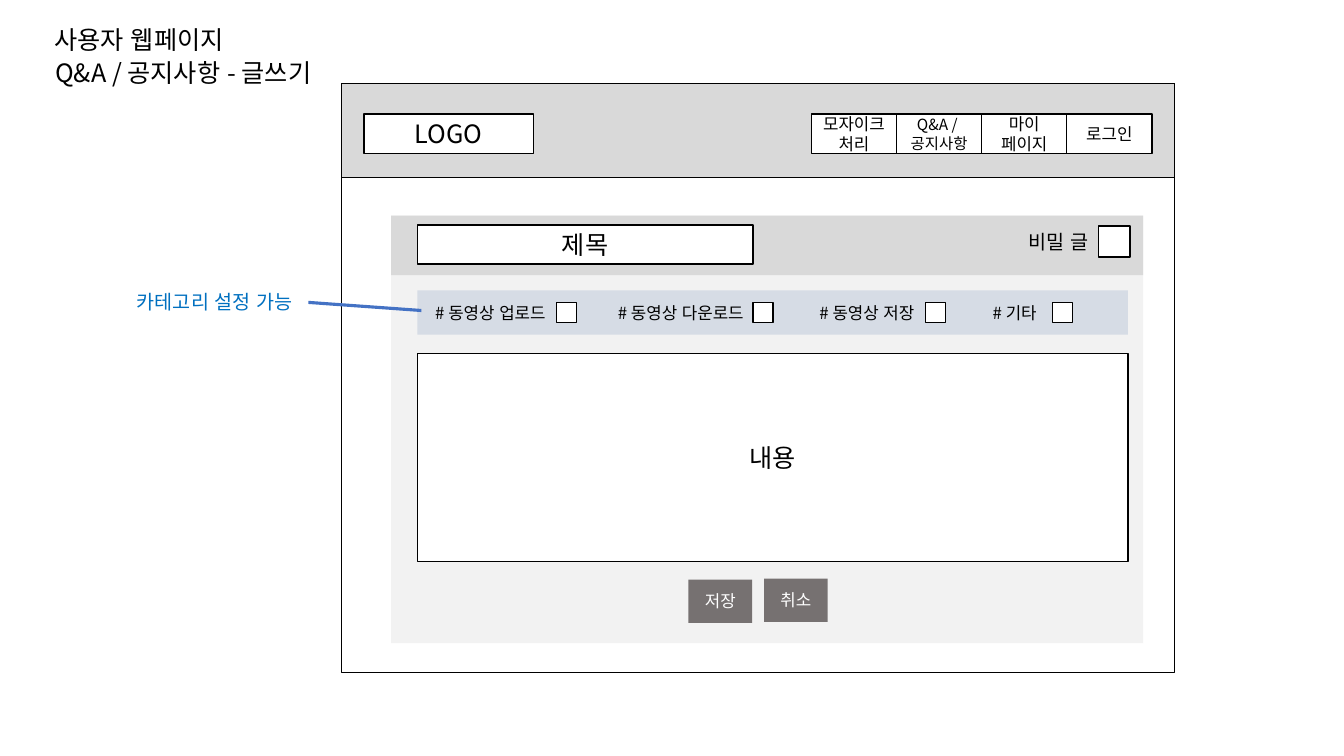
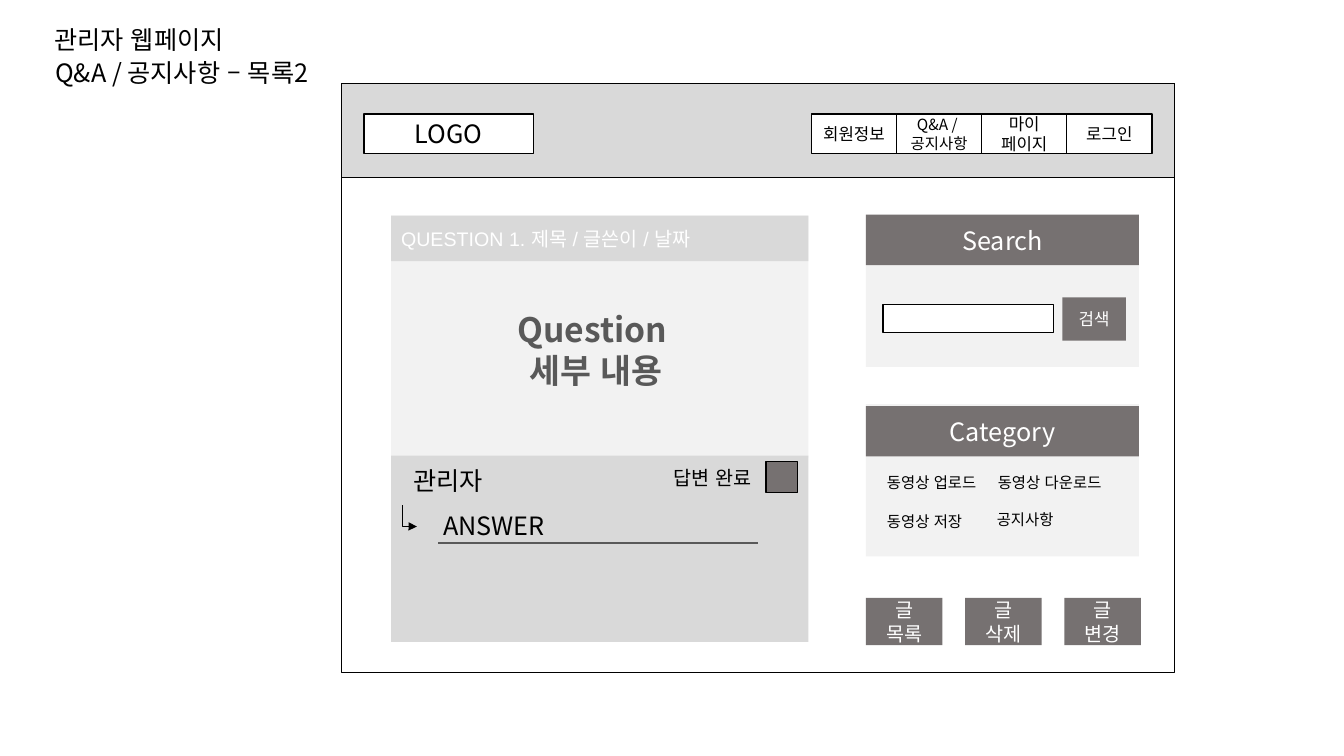
import pptx
import pptx.dml.color
import pptx.enum.lang
import pptx.enum.shapes
import pptx.enum.text
import pptx.oxml
import pptx.oxml.ns
import pptx.util

Pt = pptx.util.Pt
RGB = pptx.dml.color.RGBColor
ALIGN = pptx.enum.text.PP_ALIGN
ANCHOR = pptx.enum.text.MSO_ANCHOR
FIT = pptx.enum.text.MSO_AUTO_SIZE
CONN = pptx.enum.shapes.MSO_CONNECTOR

BLACK = RGB(0x00, 0x00, 0x00)
WHITE = RGB(0xFF, 0xFF, 0xFF)
BAND = RGB(0xD9, 0xD9, 0xD9)
PANEL = RGB(0xF2, 0xF2, 0xF2)
DARK = RGB(0x76, 0x71, 0x71)
SLATE = RGB(0x59, 0x59, 0x59)
PALE_BLUE = RGB(0xD6, 0xDC, 0xE5)
NOTE_BLUE = RGB(0x00, 0x70, 0xC0)
LINE_BLUE = RGB(0x44, 0x72, 0xC4)

FONT = "Noto Sans CJK KR"
FRAME = (244.1, 59.8, 594.7, 420.5)
CHECK = 22.3
FIELD_H = 28.1
BUTTON = (45.4, 31)


def write(tf, text, size, color, align=None, bold=False, font=FONT):
    """Fill a text frame, one paragraph for each line of text."""
    tf.word_wrap = True
    fmt = {"size": Pt(size), "bold": bold, "name": font,
           "language_id": pptx.enum.lang.MSO_LANGUAGE_ID.KOREAN}
    for i, line in enumerate(text.split("\n")):
        p = tf.paragraphs[0] if i == 0 else tf.add_paragraph()
        p.alignment = align
        r = p.add_run()
        r.text = line
        for name, value in fmt.items():
            setattr(r.font, name, value)
        r.font.color.rgb = color
        ea = pptx.oxml.parse_xml(
            f'<a:ea {pptx.oxml.ns.nsdecls("a")} typeface="{FONT}"/>')
        r.font._element.find(pptx.oxml.ns.qn("a:latin")).addnext(ea)


def rect(s, x, y, w, h, fill=None, line=None, text=None, size=18,
         color=BLACK, align=ALIGN.CENTER, font=FONT):
    """Draw a rectangle with optional fill, outline and text."""
    sp = s.shapes.add_shape(pptx.enum.shapes.MSO_SHAPE.RECTANGLE,
                            Pt(x), Pt(y), Pt(w), Pt(h))
    sp.shadow.inherit = False
    if fill is None:
        sp.fill.background()
    else:
        sp.fill.solid()
        sp.fill.fore_color.rgb = fill
    if line is None:
        sp.line.fill.background()
    else:
        sp.line.color.rgb = line
        sp.line.width = Pt(1)
    if text:
        sp.text_frame.vertical_anchor = ANCHOR.MIDDLE
        write(sp.text_frame, text, size, color, align, font=font)


def field(s, x, y, w, h, text=None, size=18):
    """Draw a white outlined box."""
    rect(s, x, y, w, h, WHITE, BLACK, text, size)


def button(s, x, y, text, w=BUTTON[0], h=BUTTON[1], size=12):
    """Draw a dark button."""
    rect(s, x, y, w, h, DARK, None, text, size, WHITE)


def label(s, x, y, w, h, text, size=18, color=BLACK, align=None, bold=False,
          middle=False):
    """Place a text box, either growing downwards or centred vertically."""
    tf = s.shapes.add_textbox(Pt(x), Pt(y), Pt(w), Pt(h)).text_frame
    write(tf, text, size, color, align, bold)
    if middle:
        tf.vertical_anchor = ANCHOR.MIDDLE
    else:
        tf.auto_size = FIT.SHAPE_TO_FIT_TEXT


def connect(s, x1, y1, x2, y2, color, width, kind=CONN.STRAIGHT):
    """Draw a connector without shadow and return it."""
    c = s.shapes.add_connector(kind, Pt(x1), Pt(y1), Pt(x2), Pt(y2))
    c.line.color.rgb = color
    c.line.width = Pt(width)
    c._element.spPr.append(pptx.oxml.parse_xml(
        f'<a:effectLst {pptx.oxml.ns.nsdecls("a")}/>'))
    return c


def reply_arrow(s, x, y, w, h):
    """Draw an arrow that runs down, then right, within its box."""
    cx, cy = x + w / 2, y + h / 2
    c = connect(s, cx + h / 2, cy - w / 2, cx - h / 2, cy + w / 2,
                BLACK, 0.5, CONN.ELBOW)
    sp_pr = c._element.spPr
    sp_pr.xfrm.set("rot", "16200000")
    ns = pptx.oxml.ns.nsdecls("a")
    guides = sp_pr.find(pptx.oxml.ns.qn("a:prstGeom")).find(
        pptx.oxml.ns.qn("a:avLst"))
    guides.append(pptx.oxml.parse_xml(
        f'<a:gd {ns} name="adj1" fmla="val 99400"/>'))
    c.line._get_or_add_ln().append(pptx.oxml.parse_xml(
        f'<a:tailEnd {ns} type="triangle"/>'))


def page(prs, heading, subheading, sub_w, first_tab):
    """Add a slide with its headings, browser frame, logo and menu."""
    s = prs.slides.add_slide(prs.slide_layouts[6])
    label(s, 31.7, 13.7, 144.7, 28.8, heading)
    label(s, 32.4, 37.4, sub_w, 28.8, subheading)
    x, y, w, h = FRAME
    rect(s, x, y, w, 67, BAND, BLACK)
    rect(s, x, y, w, h, None, BLACK)
    field(s, x + 15.8, y + 21.6, 121, FIELD_H, "LOGO")
    tabs = [(first_tab, 12), ("Q&A / \n공지사항", 11),
            ("마이\n페이지", 12), ("로그인", 12)]
    tab_w = 60.8
    for i, (text, size) in enumerate(tabs):
        field(s, x + 335.5 + i * tab_w, y + 21.6, tab_w, FIELD_H, text, size)
    return s


def category_bar(s, x, y, w, h):
    """Draw the row of category tags, each with a check box."""
    rect(s, x, y, w, h, PALE_BLUE)
    tags = [("# 동영상 업로드 ", 5.7, 95, 99.3),
            ("# 동영상 다운로드 ", 136.1, 114.5, 239.7),
            ("# 동영상 저장", 280.1, 114.5, 362.9),
            ("# 기타", 403.9, 85, 453.6)]
    for text, dx, tag_w, check_dx in tags:
        label(s, x + dx, y + 5, tag_w, 21.6, text, 12)
        field(s, x + check_dx, y + 8.6, 14.4, 14.4)


def write_form(s, x, y, w, h):
    """Draw the form for a new post."""
    rect(s, x, y, w, h, PANEL)
    rect(s, x, y, w, 42.5, BAND)
    left, inner_w = x + 18.7, 507.6
    field(s, left, y + 6.5, 239.8, FIELD_H, "제목")
    field(s, x + 505.4, y + 7.2, CHECK, CHECK)
    label(s, x + 446.4, y + 4.3, 60.5, FIELD_H, "비밀 글", 14,
          align=ALIGN.CENTER, middle=True)
    field(s, left, y + 98.6, inner_w, 148.3, "내용")
    button(s, x + 212.4, y + 259.9, "저장")
    button(s, x + 266.4, y + 259.2, "취소")
    category_bar(s, left, y + 53.3, inner_w, 31.7)


def callout(s, x, y, w, h):
    """Place the blue remark and its line to the category bar."""
    connect(s, x + w + 0.7, y + 12.2, x + w + 81.4, y + 18, LINE_BLUE, 2.25)
    label(s, x, y, w, h, "카테고리 설정 가능", 14, NOTE_BLUE, ALIGN.CENTER)


def question(s, x, y, w, h):
    """Draw the question with its title band."""
    rect(s, x, y, w, h, PANEL)
    rect(s, x, y, w, 32.4, BAND, None, "QUESTION 1. 제목 / 글쓴이 / 날짜",
         14, WHITE, ALIGN.LEFT, "Arial")
    label(s, x + 64.8, y + 63.3, 163.4, 65.5, "Question \n세부 내용", 24,
          SLATE, ALIGN.CENTER, True)


def answer(s, x, y, w, h):
    """Draw the administrator's answer."""
    rect(s, x, y, w, h, BAND)
    label(s, x + 8.6, y + 3.6, 65.5, 28.8, "관리자")
    reply_arrow(s, x + 8.3, y + 35.6, 10.1, 15.1)
    rect(s, x + 267.8, y + 4.3, CHECK, CHECK, DARK, BLACK)
    label(s, x + 190, y + 1.4, 79.2, FIELD_H, "답변 완료", 14,
          align=ALIGN.CENTER, middle=True)
    label(s, x + 30.2, y + 35.3, 239.8, 28.8, "ANSWER")
    connect(s, x + 33.8, y + 62.6, x + 262, y + 62.6, SLATE, 1.5)


def card(s, x, y, w, h, title, head_dy=0):
    """Draw a side card with a dark title band."""
    rect(s, x, y, w, h, PANEL)
    rect(s, x, y + head_dy, w, 36, DARK, None, title, 18, WHITE)


def search_card(s, x, y, w, h):
    """Draw the search card."""
    card(s, x, y, w, h, "Search")
    field(s, x + 12.2, y + 64.1, 121.7, 20.2)
    button(s, x + 140.4, y + 59, "검색")


def category_card(s, x, y, w, h):
    """Draw the category card."""
    card(s, x, y, w, h, "Category", 1.4)
    for text, dx, dy in [("동영상 업로드", 7.9, 45.4),
                         ("동영상 다운로드", 87.1, 45.4),
                         ("동영상 저장", 7.9, 73.4),
                         ("공지사항", 86.4, 72)]:
        label(s, x + dx, y + dy, 109.4, 20.9, text, 11)


def post_buttons(s, x, y, w, h):
    """Spread the post buttons evenly over the width."""
    names = ["글 목록", "글 삭제", "글 변경"]
    button_w = 54.7
    step = (w - button_w) / (len(names) - 1)
    for i, text in enumerate(names):
        button(s, x + i * step, y, text, button_w, h, 14)


def main():
    """Build both pages and save them."""
    prs = pptx.Presentation()
    prs.slide_width, prs.slide_height = Pt(960), Pt(540)
    left, top = 279.4, 154.1

    s = page(prs, "사용자 웹페이지", "Q&A / 공지사항 - 글쓰기", 205.2,
             "모자이크 처리")
    write_form(s, left, top, 537.1, 305.3)
    callout(s, 87.1, 203.8, 132.5, 24.5)

    s = page(prs, "관리자 웹페이지", "Q&A / 공지사항 – 목록2", 211.7,
             "회원정보")
    question(s, left, top, 298.1, 172.8)
    answer(s, left, top + 171.3, 298.1, 133.2)
    side, side_w = 618.5, 195.1
    search_card(s, side, 153.4, side_w, 108.7)
    category_card(s, side, 288.7, side_w, 108.7)
    post_buttons(s, side, 427, 196.5, 33.8)

    prs.save("out.pptx")


main()
